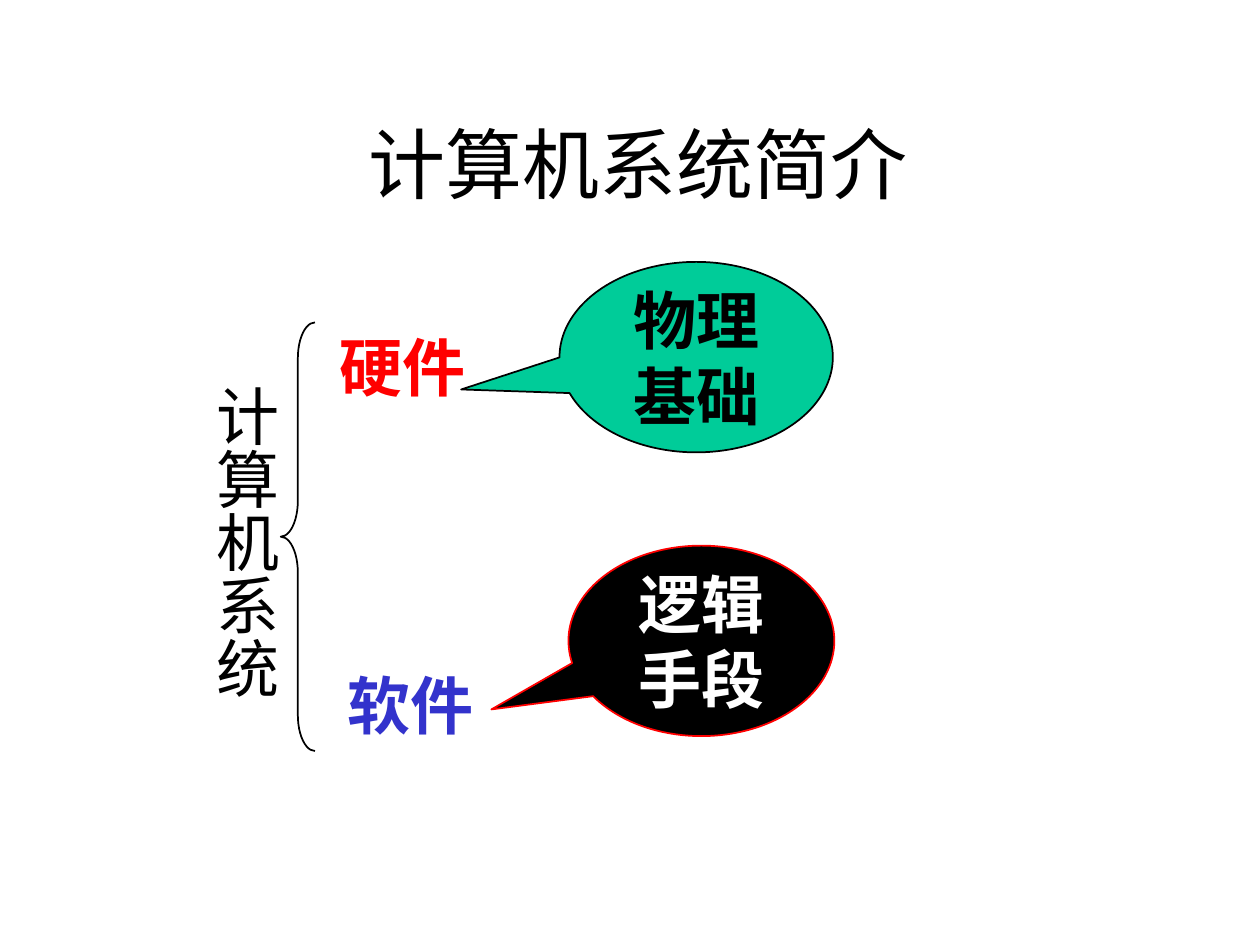
from typing import NamedTuple

import pptx
import pptx.dml.color
import pptx.enum.shapes
import pptx.enum.text
import pptx.util

Cm = pptx.util.Cm
Pt = pptx.util.Pt
SHAPE = pptx.enum.shapes.MSO_SHAPE
ALIGN = pptx.enum.text.PP_ALIGN
ANCHOR = pptx.enum.text.MSO_ANCHOR


class Box(NamedTuple):
    """Left, top, width and height in centimetres."""
    left: float
    top: float
    width: float
    height: float

    def place(self) -> list:
        return [Cm(side) for side in self]


class Label(NamedTuple):
    text: str
    box: Box
    color: str = "000000"
    size: int = 36
    bold: bool = False
    wrap: bool = True
    center: bool = False


class Bubble(NamedTuple):
    label: Label
    fill: str
    line: str
    tip: tuple


LABELS = [
    Label("硬件", Box(6.6, 6.5, 3.18, 1.78), "FF0000", bold=True),
    Label("软件", Box(6.76, 13.31, 3.56, 1.78), "3333CC", bold=True),
]
BUBBLES = [
    Bubble(Label("物理基础", Box(11.28, 5.28, 5.51, 3.84), bold=True, center=True),
           "00CC99", "000000", (-0.86, 0.17)),
    Bubble(Label("逻辑手段", Box(11.46, 11, 5.36, 3.84), "FFFFFF", bold=True, center=True),
           "000000", "FF0000", (-0.79, 0.36)),
]
TITLE = Label("计算机系统简介", Box(2.08, 1.7, 21.59, 3.18), size=44, center=True)
SYSTEM = Label("计算机系统", Box(3.81, 7.52, 2.03, 6.6), wrap=False)
BRACE = Box(5.66, 6.5, 0.69, 8.64)


def rgb(code: str) -> pptx.dml.color.RGBColor:
    return pptx.dml.color.RGBColor.from_string(code)


def write(shape, label: Label) -> None:
    frame = shape.text_frame
    frame.text = label.text
    frame.word_wrap = label.wrap
    frame.vertical_anchor = ANCHOR.MIDDLE if label.center else ANCHOR.TOP
    para = frame.paragraphs[0]
    para.alignment = ALIGN.CENTER if label.center else ALIGN.LEFT
    for run in para.runs:
        run.font.name = "Times New Roman"
        run.font.size = Pt(label.size)
        run.font.bold = label.bold
        run.font.color.rgb = rgb(label.color)


def add_label(slide, label: Label):
    shape = slide.shapes.add_textbox(*label.box.place())
    write(shape, label)
    return shape


def add_shape(slide, kind, box: Box, line: str, turns: tuple):
    shape = slide.shapes.add_shape(kind, *box.place())
    shape.shadow.inherit = False
    shape.fill.background()
    shape.line.color.rgb = rgb(line)
    shape.line.width = Pt(1)
    for spot, turn in enumerate(turns):
        shape.adjustments[spot] = turn
    return shape


def add_bubble(slide, bubble: Bubble) -> None:
    shape = add_shape(slide, SHAPE.OVAL_CALLOUT, bubble.label.box,
                      bubble.line, bubble.tip)
    shape.fill.solid()
    shape.fill.fore_color.rgb = rgb(bubble.fill)
    write(shape, bubble.label)


def main() -> None:
    deck = pptx.Presentation()
    deck.slide_width, deck.slide_height = Cm(25.4), Cm(19.05)
    slide = deck.slides.add_slide(deck.slide_layouts[6])

    system = add_label(slide, SYSTEM)
    system.text_frame._txBody.bodyPr.set("vert", "eaVert")
    add_shape(slide, SHAPE.LEFT_BRACE, BRACE, "000000", (1.05, 0.5))
    for label in LABELS:
        add_label(slide, label)
    for bubble in BUBBLES:
        add_bubble(slide, bubble)
    add_label(slide, TITLE)

    deck.save("out.pptx")


if __name__ == "__main__":
    main()
